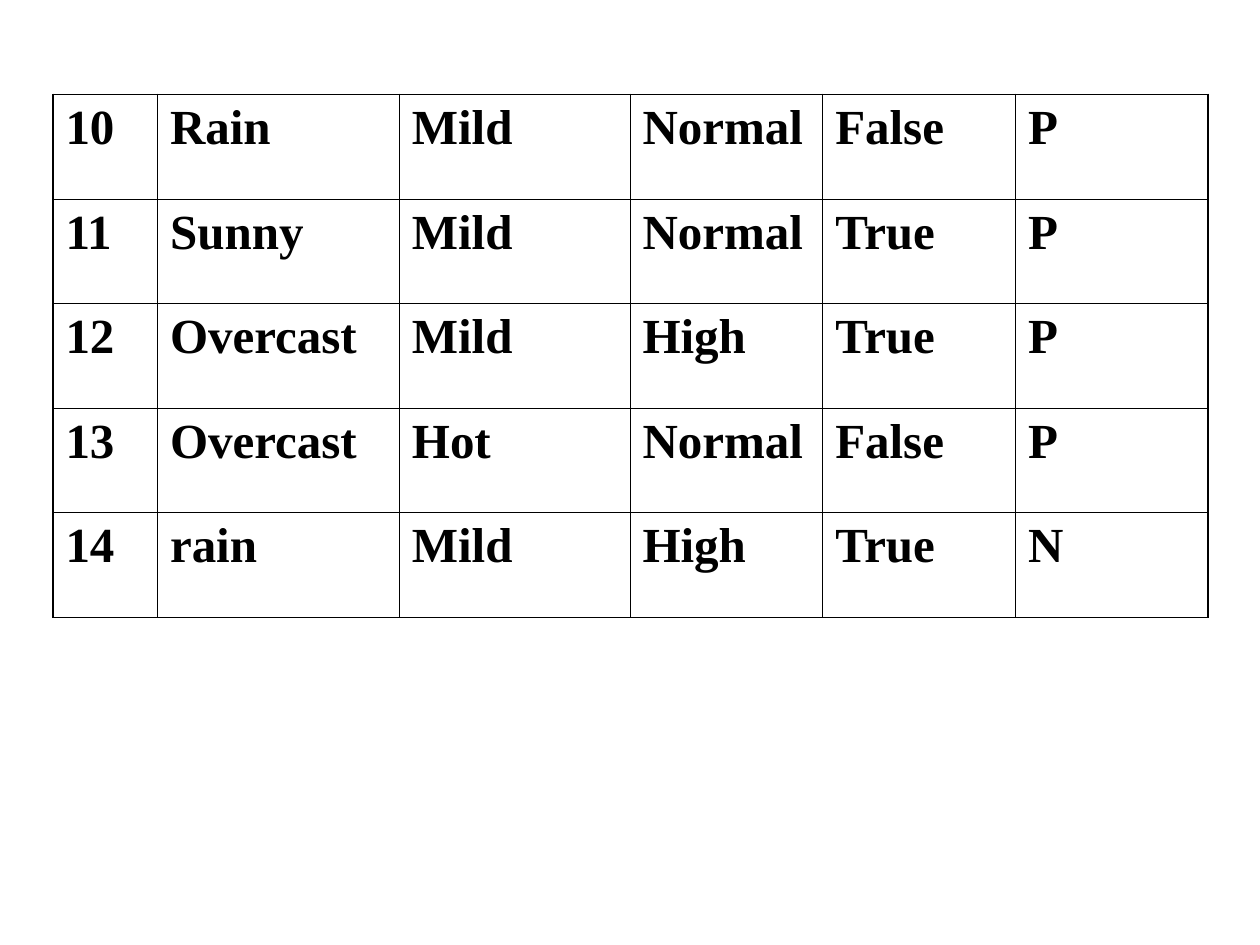
from typing import NamedTuple

import pptx
import pptx.dml.color
import pptx.oxml
import pptx.oxml.ns
import pptx.util

Inches = pptx.util.Inches
Pt = pptx.util.Pt

INK = "000000"
OUTER_WIDTH = 1.08
INNER_WIDTH = 0.45
COLUMN_WIDTHS = (0.83, 1.92, 1.83, 1.53, 1.53, 1.53)
ROW_HEIGHT = 0.83


class Observation(NamedTuple):
    number: str
    outlook: str
    temperature: str
    humidity: str
    windy: str
    label: str


OBSERVATIONS = (
    Observation("10", "Rain", "Mild", "Normal", "False", "P"),
    Observation("11", "Sunny", "Mild", "Normal", "True", "P"),
    Observation("12", "Overcast", "Mild", "High", "True", "P"),
    Observation("13", "Overcast", "Hot", "Normal", "False", "P"),
    Observation("14", "rain", "Mild", "High", "True", "N"),
)


def colour(value: str) -> pptx.dml.color.RGBColor:
    return pptx.dml.color.RGBColor.from_string(value)


def add_border(cell, side: str, width: float) -> None:
    namespace = pptx.oxml.ns.nsdecls("a")
    border = pptx.oxml.parse_xml(
        f'<a:ln{side} {namespace} w="{Pt(width)}">'
        f'<a:solidFill><a:srgbClr val="{INK}"/></a:solidFill></a:ln{side}>'
    )
    cell._tc.get_or_add_tcPr().append(border)


def write_value(cell, value: str) -> None:
    cell.text = value
    run = cell.text_frame.paragraphs[0].runs[0]
    font_format = {"name": "Times New Roman", "size": Pt(28), "bold": True}
    for attribute, setting in font_format.items():
        setattr(run.font, attribute, setting)
    run.font.color.rgb = colour(INK)


def draw_observations(slide) -> None:
    row_count, column_count = len(OBSERVATIONS), len(COLUMN_WIDTHS)
    observations = slide.shapes.add_table(
        row_count, column_count, Inches(0.42), Inches(0.75),
        Inches(sum(COLUMN_WIDTHS)), Inches(ROW_HEIGHT * row_count),
    ).table
    for banding in ("first_row", "horz_banding"):
        setattr(observations, banding, False)
    for column, width in zip(observations.columns, COLUMN_WIDTHS):
        column.width = Inches(width)
    for row in observations.rows:
        row.height = Inches(ROW_HEIGHT)
    for r, observation in enumerate(OBSERVATIONS):
        for c, value in enumerate(observation):
            cell = observations.cell(r, c)
            write_value(cell, value)
            on_edge = {
                "L": c == 0,
                "R": c == column_count - 1,
                "T": r == 0,
                "B": r == row_count - 1,
            }
            for side, outer in on_edge.items():
                add_border(cell, side, OUTER_WIDTH if outer else INNER_WIDTH)
            cell.fill.background()


def main() -> None:
    deck = pptx.Presentation()
    deck.slide_width = Inches(10)
    deck.slide_height = Inches(7.5)
    draw_observations(deck.slides.add_slide(deck.slide_layouts[6]))
    deck.save("out.pptx")


if __name__ == "__main__":
    main()
